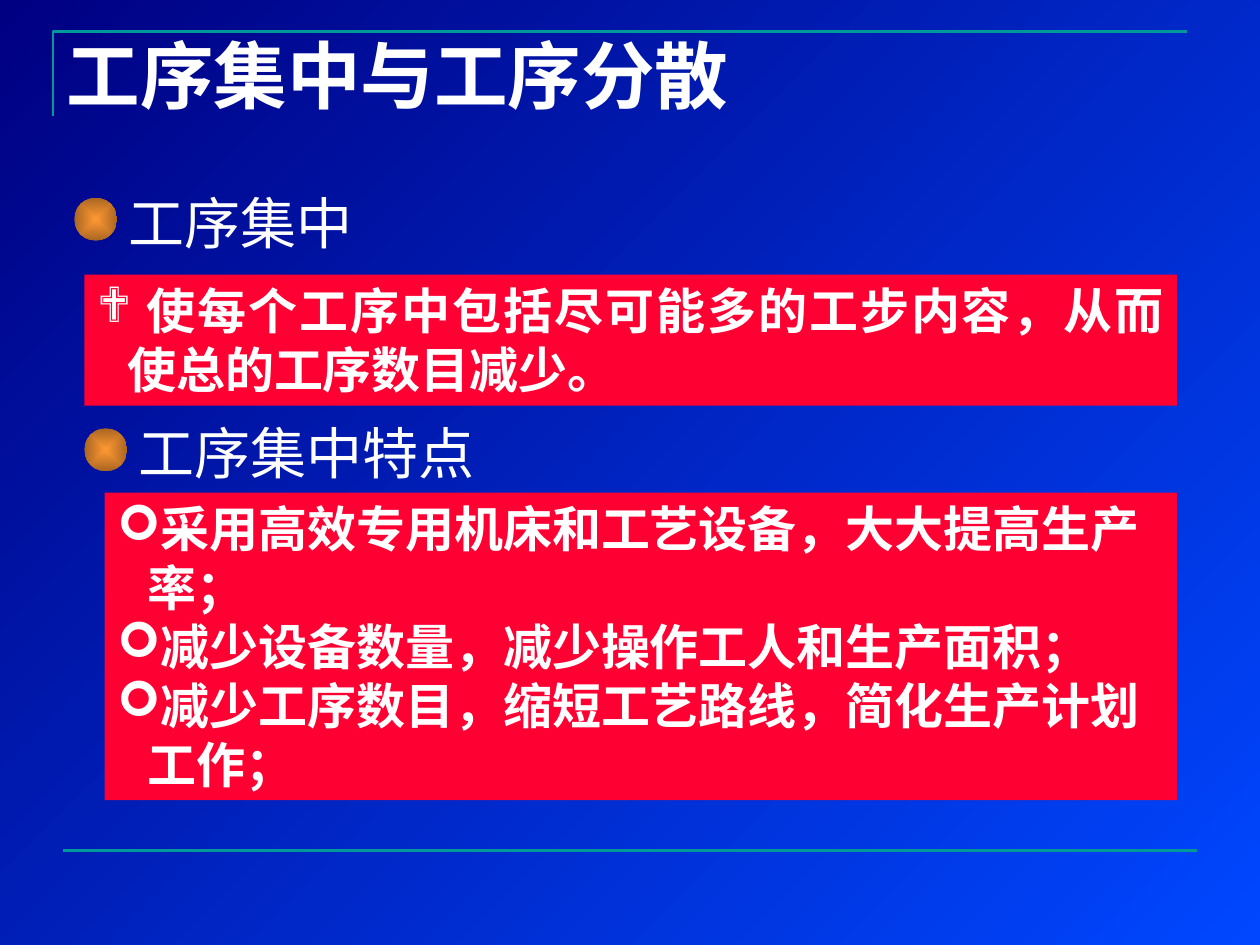
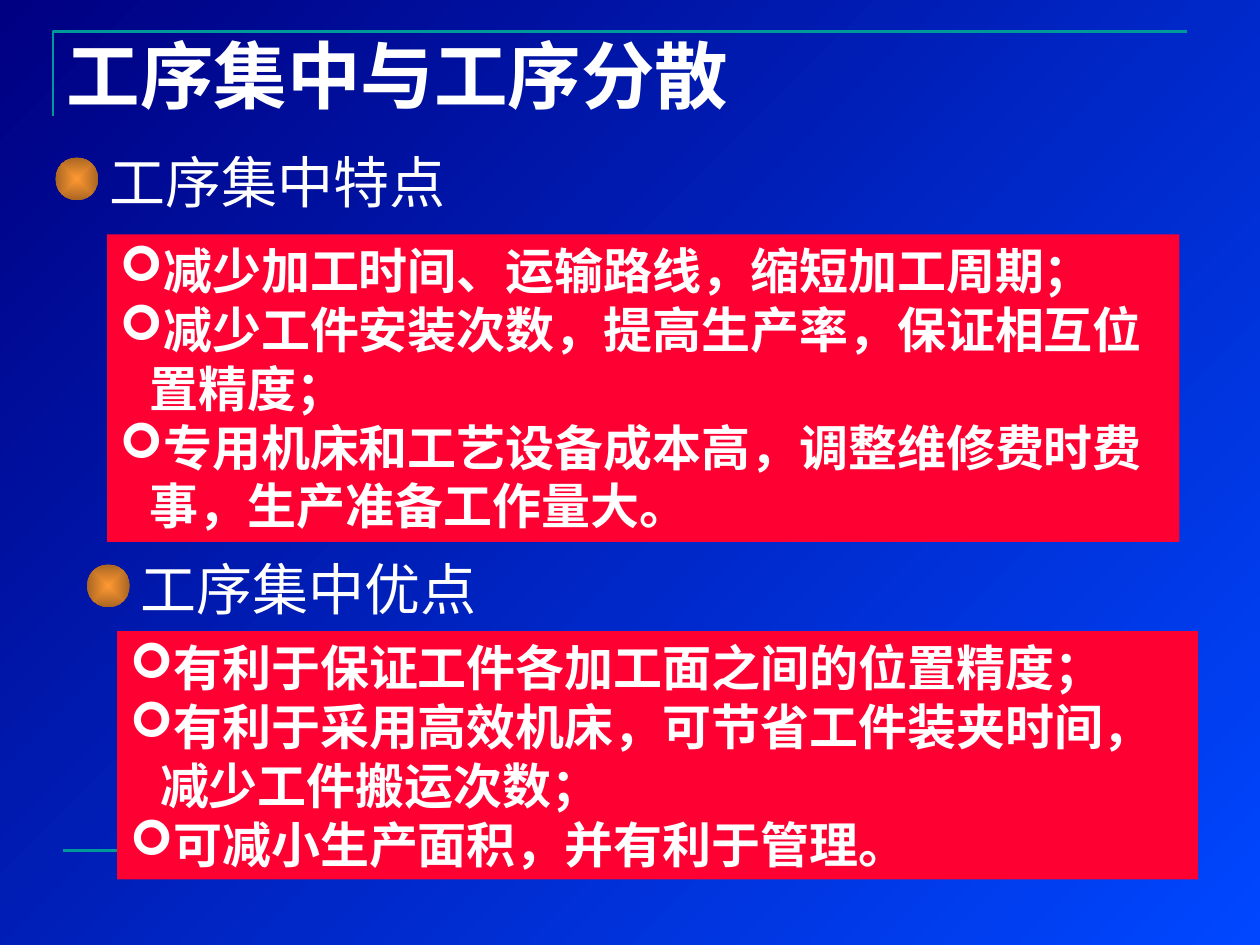
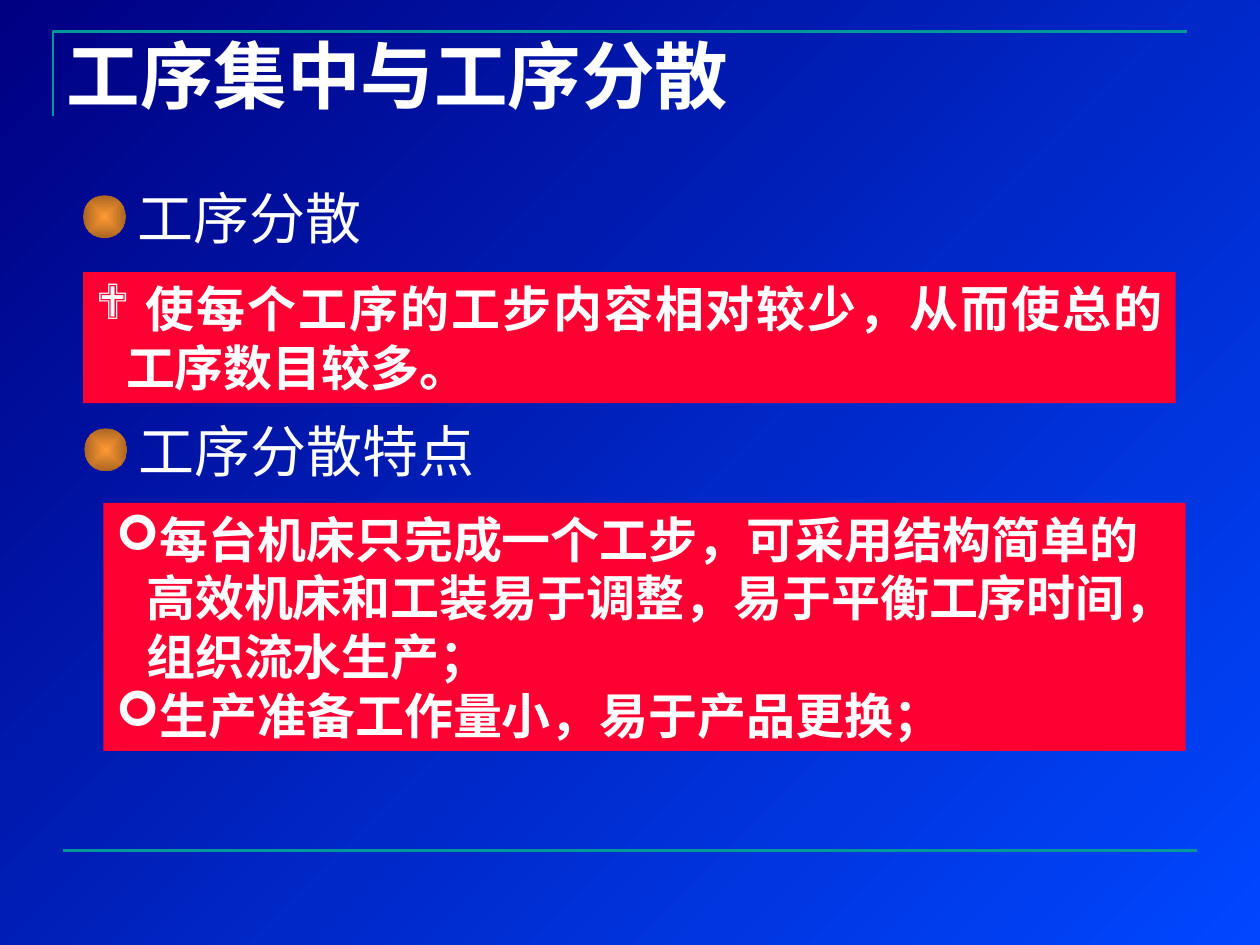
from typing import NamedTuple

from lxml.etree import SubElement
from pptx import Presentation
from pptx.dml.color import RGBColor as Rgb
from pptx.enum.shapes import MSO_CONNECTOR as Link, MSO_SHAPE as Form
from pptx.enum.text import MSO_ANCHOR as Anchor, MSO_AUTO_SIZE as Fit, PP_ALIGN as Align
from pptx.oxml.ns import qn
from pptx.util import Inches, Pt

HUES = {
    "navy": "000082",
    "blue": "0047FF",
    "teal": "009999",
    "red": "FF0033",
    "white": "FFFFFF",
    "gold": "FF9933",
    "brown": "A96522",
}
FONT = "Noto Sans CJK SC"
SIGNS = "Wingdings"
TITLE = "工序集中与工序分散"
BALL = 0.34
HANG = 0.24


class Box(NamedTuple):
    left: float
    top: float
    width: float
    height: float


class Head(NamedTuple):
    text: str
    left: float
    top: float
    drop: float = 0.18


class Panel(NamedTuple):
    box: Box
    mark: str
    items: list[str]


class Page(NamedTuple):
    heads: list[Head]
    panels: list[Panel]


PAGES = [
    Page(
        [Head("工序集中", 0.92, 1.39), Head("工序集中特点", 1, 3.22)],
        [
            Panel(Box(0.67, 2.18, 8.67, 1.04), "❖", [
                " 使每个工序中包括尽可能多的工步内容，从而使总的工序数目减少。",
            ]),
            Panel(Box(0.83, 3.91, 8.51, 2.44), "➢", [
                "采用高效专用机床和工艺设备，大大提高生产率；",
                "减少设备数量，减少操作工人和生产面积；",
                "减少工序数目，缩短工艺路线，简化生产计划工作；",
            ]),
        ],
    ),
    Page(
        [Head("工序集中特点", 0.77, 1.07), Head("工序集中优点", 1.02, 4.3)],
        [
            Panel(Box(0.85, 1.86, 8.51, 2.44), "➢", [
                "减少加工时间、运输路线，缩短加工周期；",
                "减少工件安装次数，提高生产率，保证相互位置精度；",
                "专用机床和工艺设备成本高，调整维修费时费事，生产准备工作量大。",
            ]),
            Panel(Box(0.93, 5.01, 8.58, 1.97), "➢", [
                "有利于保证工件各加工面之间的位置精度；",
                "有利于采用高效机床，可节省工件装夹时间，减少工件搬运次数；",
                "可减小生产面积，并有利于管理。",
            ]),
        ],
    ),
    Page(
        [Head("工序分散", 0.99, 1.35, 0.2), Head("工序分散特点", 1, 3.2, 0.2)],
        [
            Panel(Box(0.66, 2.16, 8.67, 1.04), "❖", [
                " 使每个工序的工步内容相对较少，从而使总的工序数目较多。",
            ]),
            Panel(Box(0.82, 3.99, 8.59, 1.97), "➢", [
                "每台机床只完成一个工步，可采用结构简单的高效机床和工装易于调整，易于平衡工序时间，组织流水生产；",
                "生产准备工作量小，易于产品更换；",
            ]),
        ],
    ),
]


def hue(name: str) -> Rgb:
    return Rgb.from_string(HUES[name])


def blend(fill, first: str, last: str) -> None:
    fill.gradient()
    for stop, name in zip(fill.gradient_stops, (first, last)):
        stop.color.rgb = hue(name)


def place(shape, box: Box) -> None:
    shape.left, shape.top, shape.width, shape.height = map(Inches, box)


def write(para, text: str, size: int, bold: bool) -> None:
    run = para.add_run()
    run.text = text
    font = run.font
    font.size, font.bold, font.name = Pt(size), bold, FONT
    font.color.rgb = hue("white")
    SubElement(run._r.get_or_add_rPr(), qn("a:ea"), typeface=FONT)


def mark_item(para, mark: str) -> None:
    props = para._p.get_or_add_pPr()
    props.set("marL", str(Inches(HANG)))
    props.set("indent", str(-Inches(HANG)))
    tint = SubElement(props, qn("a:buClr"))
    SubElement(tint, qn("a:srgbClr"), val=HUES["white"])
    SubElement(props, qn("a:buFont"), typeface=SIGNS)
    SubElement(props, qn("a:buChar"), char=mark)


def dress_master(master, slide) -> None:
    """Give the master its background and teal rules, drawn first on a slide."""
    back = master.background.fill
    blend(back, "navy", "blue")
    back.gradient_angle = 315
    pen = slide.shapes.build_freeform(Inches(0.42), Inches(0.92))
    pen.add_line_segments(
        [(Inches(0.42), Inches(0.25)), (Inches(9.42), Inches(0.25))], close=False
    )
    frame = pen.convert_to_shape()
    frame.fill.background()
    frame.shadow.inherit = False
    foot = slide.shapes.add_connector(
        Link.STRAIGHT, Inches(0.5), Inches(6.75), Inches(9.5), Inches(6.75)
    )
    for spot, rule in enumerate((frame, foot), 2):
        rule.line.color.rgb = hue("teal")
        rule.line.width = Pt(1.5)
        master.shapes.element.insert(spot, rule.element)
    SubElement(foot.element.spPr, qn("a:effectLst"))


def draw_title(shape) -> None:
    place(shape, Box(0.43, 0.19, 8.51, 0.8))
    frame = shape.text_frame
    frame.vertical_anchor = Anchor.TOP
    frame.auto_size = Fit.NONE
    para = frame.paragraphs[0]
    para.alignment = Align.LEFT
    write(para, TITLE, 42, True)


def draw_head(slide, head: Head) -> None:
    group = slide.shapes.add_group_shape()
    label = group.shapes.add_textbox(*map(Inches, (head.left, head.top, 5, 0.69)))
    frame = label.text_frame
    frame.word_wrap = True
    frame.auto_size = Fit.SHAPE_TO_FIT_TEXT
    para = frame.paragraphs[0]
    para.alignment, para.line_spacing = Align.JUSTIFY, 1.1
    write(para, head.text, 32, False)
    spot = Box(head.left - BALL + 0.01, head.top + head.drop, BALL, BALL)
    ball = group.shapes.add_shape(Form.OVAL, *map(Inches, spot))
    ball.shadow.inherit = False
    ball.line.fill.background()
    blend(ball.fill, "gold", "brown")
    grad = ball.element.spPr.find(qn("a:gradFill"))
    grad.remove(grad.find(qn("a:lin")))
    path = SubElement(grad, qn("a:path"), path="rect")
    SubElement(path, qn("a:fillToRect"), dict.fromkeys("ltrb", "50000"))


def draw_panel(shape, panel: Panel) -> None:
    place(shape, panel.box)
    shape.fill.solid()
    shape.fill.fore_color.rgb = hue("red")
    frame = shape.text_frame
    frame.auto_size = Fit.NONE
    for rank, item in enumerate(panel.items):
        para = frame.add_paragraph() if rank else frame.paragraphs[0]
        para.alignment = Align.JUSTIFY if panel.mark == "❖" else Align.LEFT
        para.space_before = Pt(0)
        mark_item(para, panel.mark)
        write(para, item, 28, True)


def main() -> None:
    deck = Presentation()
    deck.slide_width, deck.slide_height = Inches(10), Inches(7.5)
    for rank, page in enumerate(PAGES):
        slide = deck.slides.add_slide(deck.slide_layouts[3])
        if rank == 0:
            dress_master(deck.slide_master, slide)
        title, *bodies = slide.placeholders
        draw_title(title)
        for body, panel in zip(bodies, page.panels):
            draw_panel(body, panel)
        for head in page.heads:
            draw_head(slide, head)
    deck.save("out.pptx")


if __name__ == "__main__":
    main()
